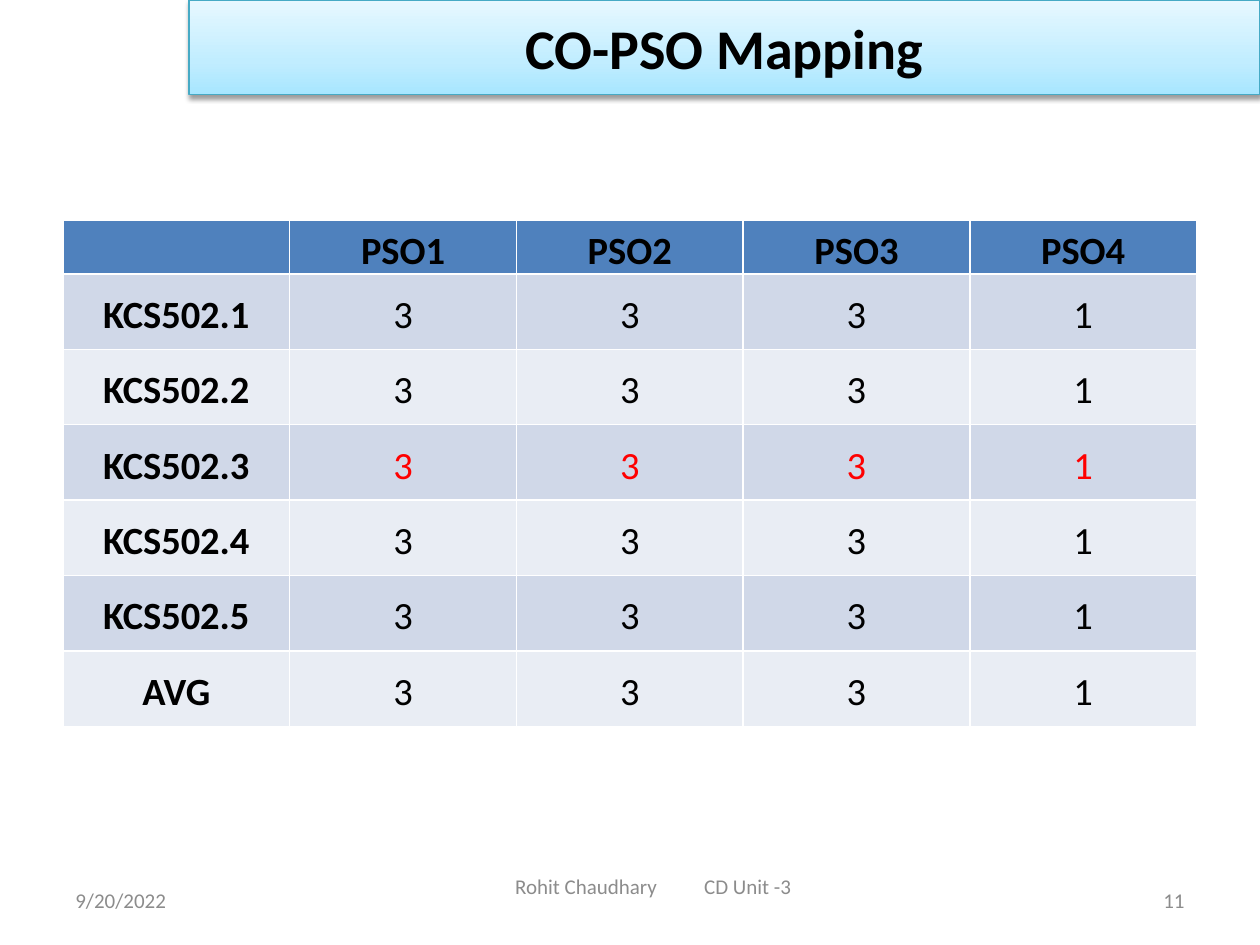
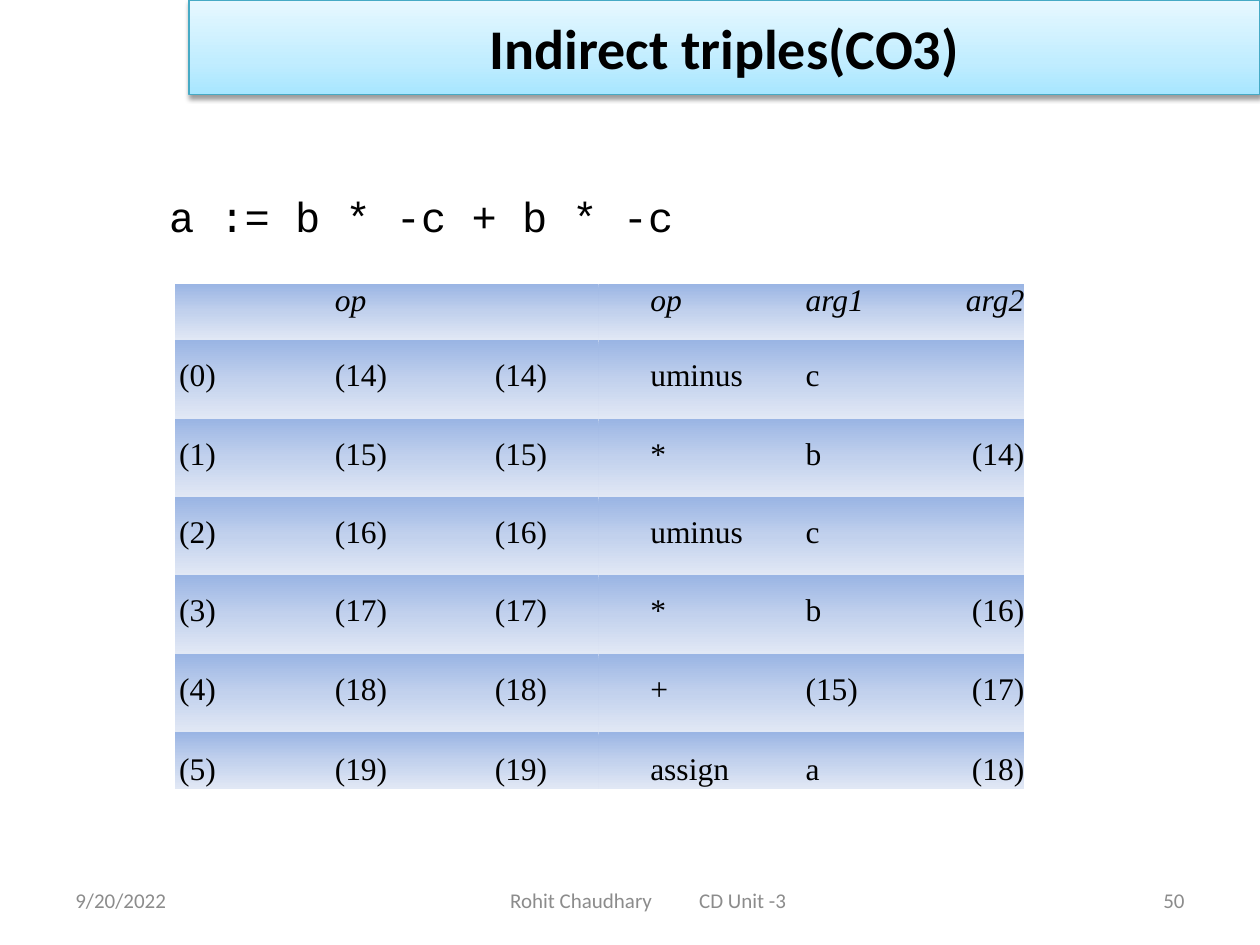
from lxml.etree import SubElement
from pptx import Presentation
from pptx.dml.color import RGBColor
from pptx.enum.text import MSO_ANCHOR as Anchor, MSO_AUTO_SIZE as AutoSize, PP_ALIGN as Align
from pptx.oxml.ns import qn
from pptx.util import Cm, Pt

SANS, SERIF, MONO = "Calibri", "Times New Roman", "Courier New"
BLACK, GREY, RED = "000000", "8C8C8C", "FF0000"
BAND_STOPS = [(0, "A7E6FF"), (35, "C1EDFF"), (100, "E7F8FF")]
ROW_STOPS = [(0, "9AB5E4"), (50, "C2D1ED"), (100, "E1E8F5")]
BAND_LINE, HEADER_FILL = "46AAC5", "4F81BD"
ROW_FILLS = ["D0D8E8", "E9EDF4"]
PLAIN_TABLE = "{2D5ABB26-0587-4C30-8999-92F81FD0307C}"
FOOTER_TOP, FOOTER_HEIGHT = 17.65, 1.01


def colour(code):
    return RGBColor.from_string(code)


def write(frame, text, font=SANS, size=12, ink=BLACK, bold=False, italic=False,
          align=Align.LEFT, line_spacing=None, indent=0, tab=None):
    """Fill a text frame with one formatted paragraph."""
    para = frame.paragraphs[0]
    para.alignment = align
    para.line_spacing = line_spacing
    properties = para._p.get_or_add_pPr()
    properties.set("marL", str(Cm(indent)))
    properties.set("indent", "0")
    if tab:
        tabs = SubElement(properties, qn("a:tabLst"))
        SubElement(tabs, qn("a:tab"), pos=str(Cm(tab)), algn="l")
    span = para.add_run()
    span.text = text
    span.font.name, span.font.size = font, Pt(size)
    span.font.bold, span.font.italic = bold, italic
    span.font.color.rgb = colour(ink)


def set_margins(holder, left=0, top=0, right=0, bottom=0):
    holder.margin_left, holder.margin_top = Cm(left), Cm(top)
    holder.margin_right, holder.margin_bottom = Cm(right), Cm(bottom)


def fill_gradient(fill, element, stops, angle):
    """Replace the default gradient stops; the angle runs anticlockwise."""
    fill.gradient()
    fill.gradient_angle = angle
    stop_list = next(element.iter(qn("a:gsLst")))
    for stop in list(stop_list):
        stop_list.remove(stop)
    for position, code in stops:
        stop = SubElement(stop_list, qn("a:gs"), pos=str(position * 1000))
        SubElement(stop, qn("a:srgbClr"), val=code)


def add_soft_shadow(shape):
    shape.shadow.inherit = False
    effects = shape._element.spPr.find(qn("a:effectLst"))
    shadow = SubElement(effects, qn("a:outerShdw"), blurRad=str(Pt(3.1)),
                        dist=str(Pt(1.6)), dir="5400000", rotWithShape="0")
    tint = SubElement(shadow, qn("a:srgbClr"), val=BLACK)
    SubElement(tint, qn("a:alpha"), val="38000")


class LectureDeck:
    def __init__(self):
        self.deck = Presentation()
        self.deck.slide_width, self.deck.slide_height = Cm(25.4), Cm(19.05)
        self.page = None

    def add_page(self, title, number, footer_area):
        self.page = self.deck.slides.add_slide(self.deck.slide_layouts[5])
        self.title_band(title)
        self.text("9/20/2022", 1.27, FOOTER_TOP, 5.93, FOOTER_HEIGHT, ink=GREY)
        self.text(str(number), 18.2, FOOTER_TOP, 5.93, FOOTER_HEIGHT,
                  ink=GREY, align=Align.RIGHT)
        self.footer(*footer_area)

    def title_band(self, title):
        band = self.page.shapes.title
        band.left, band.top, band.width, band.height = Cm(3.81), 0, Cm(21.59), Cm(1.91)
        fill_gradient(band.fill, band._element, BAND_STOPS, 90)
        band.line.color.rgb = colour(BAND_LINE)
        band.line.width = Pt(0.75)
        add_soft_shadow(band)
        band.text_frame.auto_size = AutoSize.NONE
        band.text_frame.vertical_anchor = Anchor.MIDDLE
        write(band.text_frame, title, size=32, bold=True, align=Align.CENTER)

    def text(self, text, left, top, width, height, margins=(0.25, 0.13, 0.25, 0.13),
             anchor=Anchor.MIDDLE, **style):
        box = self.page.shapes.add_textbox(Cm(left), Cm(top), Cm(width), Cm(height))
        frame = box.text_frame
        frame.word_wrap = True
        frame.vertical_anchor = anchor
        set_margins(frame, *margins)
        write(frame, text, **style)

    def footer(self, left, top, width):
        """Centre the two footer parts, which a tab stop keeps apart."""
        half_text = 2.95
        self.text("Rohit Chaudhary\tCD Unit -3", left, top, width, FOOTER_HEIGHT,
                  margins=(width / 2 - half_text, 0.13, 0, 0.13), ink=GREY, tab=4.11)

    def table(self, left, top, columns, heights):
        frame = self.page.shapes.add_table(len(heights), len(columns), Cm(left), Cm(top),
                                           Cm(sum(columns)), Cm(sum(heights)))
        table = frame.table
        for column, width in zip(table.columns, columns):
            column.width = Cm(width)
        for row, height in zip(table.rows, heights):
            row.height = Cm(height)
        return table

    def mapping_table(self, rows, marked_row):
        table = self.table(1.27, 4.45, [4.57] * 5, [1.04] + [1.52] * 6)
        for r, values in enumerate(rows):
            for c, value in enumerate(values):
                cell = table.cell(r, c)
                cell.fill.solid()
                cell.fill.fore_color.rgb = colour(ROW_FILLS[(r - 1) % 2] if r else HEADER_FILL)
                if not value:
                    continue
                set_margins(cell, left=0.18, right=0.18)
                cell.vertical_anchor = Anchor.MIDDLE if r else Anchor.TOP
                heading = r == 0 or c == 0
                write(cell.text_frame, value, size=22, bold=heading, align=Align.CENTER,
                      ink=RED if r == marked_row and not heading else BLACK,
                      line_spacing=1.15)

    def triples_table(self, rows):
        table = self.table(3.53, 5.72, [2.03, 3.33, 3.18, 3.53, 2.79, 2.26],
                           [1.14] + [1.58] * 5 + [1.14])
        next(table._tbl.iter(qn("a:tableStyleId"))).text = PLAIN_TABLE
        indents = [0.08, 1.19, 0.05, 1.04, 0.64, 0]
        aligns = [Align.LEFT, Align.LEFT, Align.CENTER, Align.LEFT, Align.LEFT, Align.RIGHT]
        spacings = {0: Pt(19.6), len(rows) - 1: Pt(20.9)}
        for r, values in enumerate(rows):
            for c, value in enumerate(values):
                cell = table.cell(r, c)
                fill_gradient(cell.fill, cell._tc, ROW_STOPS, 270)
                if not value:
                    continue
                set_margins(cell, top=0.37 if r else 0)
                write(cell.text_frame, value, font=SERIF, size=18, italic=r == 0,
                      align=aligns[c], indent=indents[c], line_spacing=spacings.get(r))


def main():
    lecture = LectureDeck()

    lecture.add_page("CO-PSO Mapping", 11, (6.35, 17.35, 13.97))
    outcomes = [f"KCS502.{n}" for n in range(1, 6)] + ["AVG"]
    lecture.mapping_table(
        [["", "PSO1", "PSO2", "PSO3", "PSO4"]]
        + [[outcome, "3", "3", "3", "1"] for outcome in outcomes],
        marked_row=3)

    lecture.add_page("Indirect triples(CO3)", 50, (8.69, FOOTER_TOP, 9.09))
    lecture.text("a := b * -c + b * -c", 3.38, 3.81, 10.4, 1.09, margins=(0, 0.03, 0, 0),
                 anchor=Anchor.TOP, font=MONO, size=24, indent=0.03)
    triples = [("uminus", "c", ""), ("*", "b", "(14)"), ("uminus", "c", ""),
               ("*", "b", "(16)"), ("+", "(15)", "(17)"), ("assign", "a", "(18)")]
    lecture.triples_table(
        [("", "op", "", "op", "arg1", "arg2")]
        + [(f"({n})", f"({n + 14})", f"({n + 14})", *triple)
           for n, triple in enumerate(triples)])

    lecture.deck.save("out.pptx")


if __name__ == "__main__":
    main()
